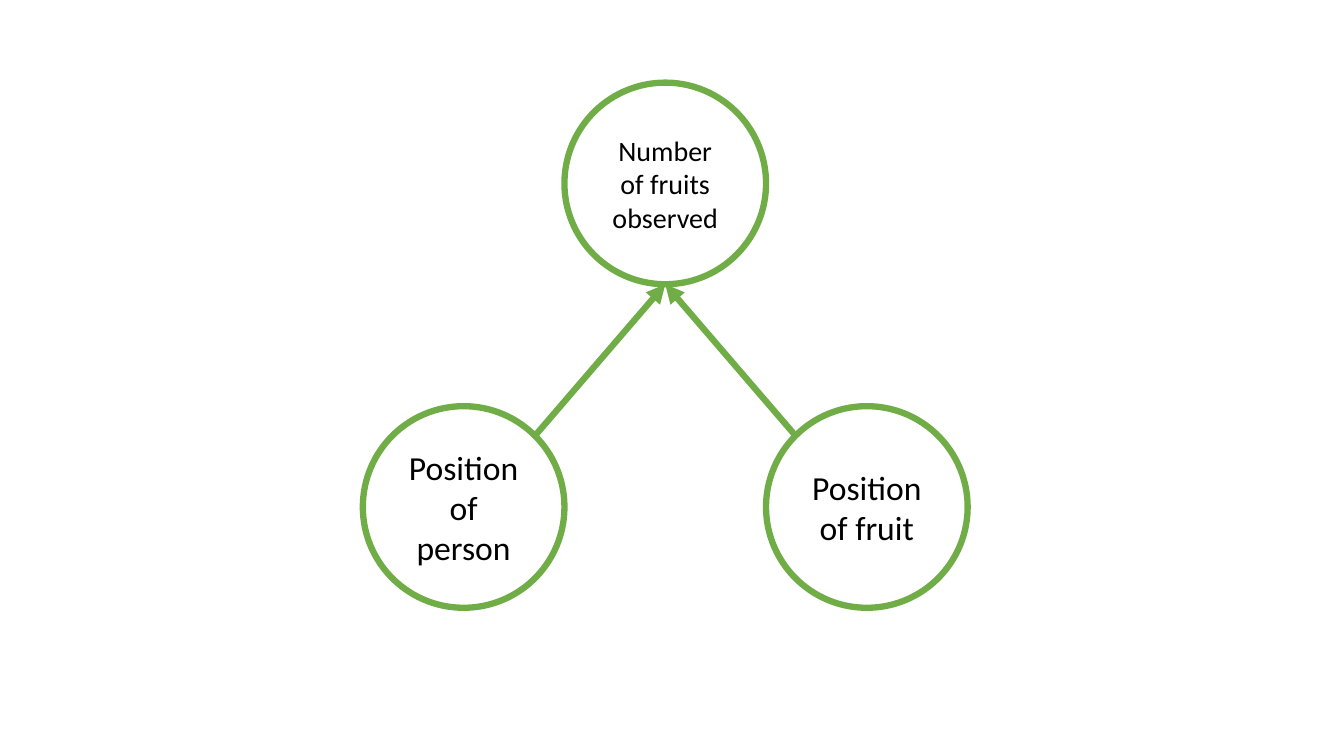
from math import sqrt

from lxml.etree import SubElement
from pptx import Presentation
from pptx.dml.color import RGBColor
from pptx.enum.shapes import MSO_CONNECTOR as Connector, MSO_SHAPE as Shape
from pptx.enum.text import MSO_ANCHOR as Anchor, PP_ALIGN as Align
from pptx.oxml.ns import qn
from pptx.util import Pt

GREEN = RGBColor(0x70, 0xAD, 0x47)
WHITE = RGBColor(0xFF, 0xFF, 0xFF)
BLACK = RGBColor(0x00, 0x00, 0x00)

DIAMETER = 144
RADIUS = DIAMETER / 2
CENTER_X = 475.2
EFFECT_Y = 131.04
CAUSE_Y = 362.16


def write_text(frame, text, size=24, font="Calibri", color=BLACK, align=Align.CENTER):
    para = frame.paragraphs[0]
    para.alignment = align
    span = para.add_run()
    span.text = text
    span.font.size = Pt(size)
    span.font.name = font
    span.font.color.rgb = color


class Diagram:
    """Draws circles and arrows in one style on the current slide."""

    def __init__(self, page, color=GREEN, weight=4.5):
        self.page = page
        self.color = color
        self.weight = weight

    def outline(self, line):
        line.color.rgb = self.color
        line.width = Pt(self.weight)

    def circle(self, x, y, text, **text_format):
        box = self.page.shapes.add_shape(
            Shape.OVAL, Pt(x - RADIUS), Pt(y - RADIUS), Pt(DIAMETER), Pt(DIAMETER))
        box.shadow.inherit = False
        box.fill.solid()
        box.fill.fore_color.rgb = WHITE
        self.outline(box.line)
        frame = box.text_frame
        frame.word_wrap = True
        frame.vertical_anchor = Anchor.MIDDLE
        write_text(frame, text, **text_format)

    def arrow(self, start, end):
        arrow = self.page.shapes.add_connector(
            Connector.STRAIGHT, *(Pt(value) for value in (*start, *end)))
        self.outline(arrow.line)
        SubElement(arrow.line._get_or_add_ln(), qn("a:tailEnd"), type="triangle")
        SubElement(arrow._element.spPr, qn("a:effectLst"))


def main():
    deck = Presentation()
    deck.slide_width, deck.slide_height = Pt(960), Pt(540)
    page = deck.slides.add_slide(deck.slide_layouts[6])
    diagram = Diagram(page)

    # Circles: one effect above its two causes
    causes = ((-1, "Position of person"), (1, "Position of fruit"))
    diagram.circle(CENTER_X, EFFECT_Y, "Number of fruits observed", size=20)
    for side, text in causes:
        diagram.circle(CENTER_X + side * DIAMETER, CAUSE_Y, text)

    # Arrows: from the inner upper rim of each cause to the foot of the effect
    diagonal = RADIUS / sqrt(2)
    for side, _ in causes:
        start = (CENTER_X + side * (DIAMETER - diagonal), CAUSE_Y - diagonal)
        diagram.arrow(start, (CENTER_X, EFFECT_Y + RADIUS))

    deck.save("out.pptx")


if __name__ == "__main__":
    main()
